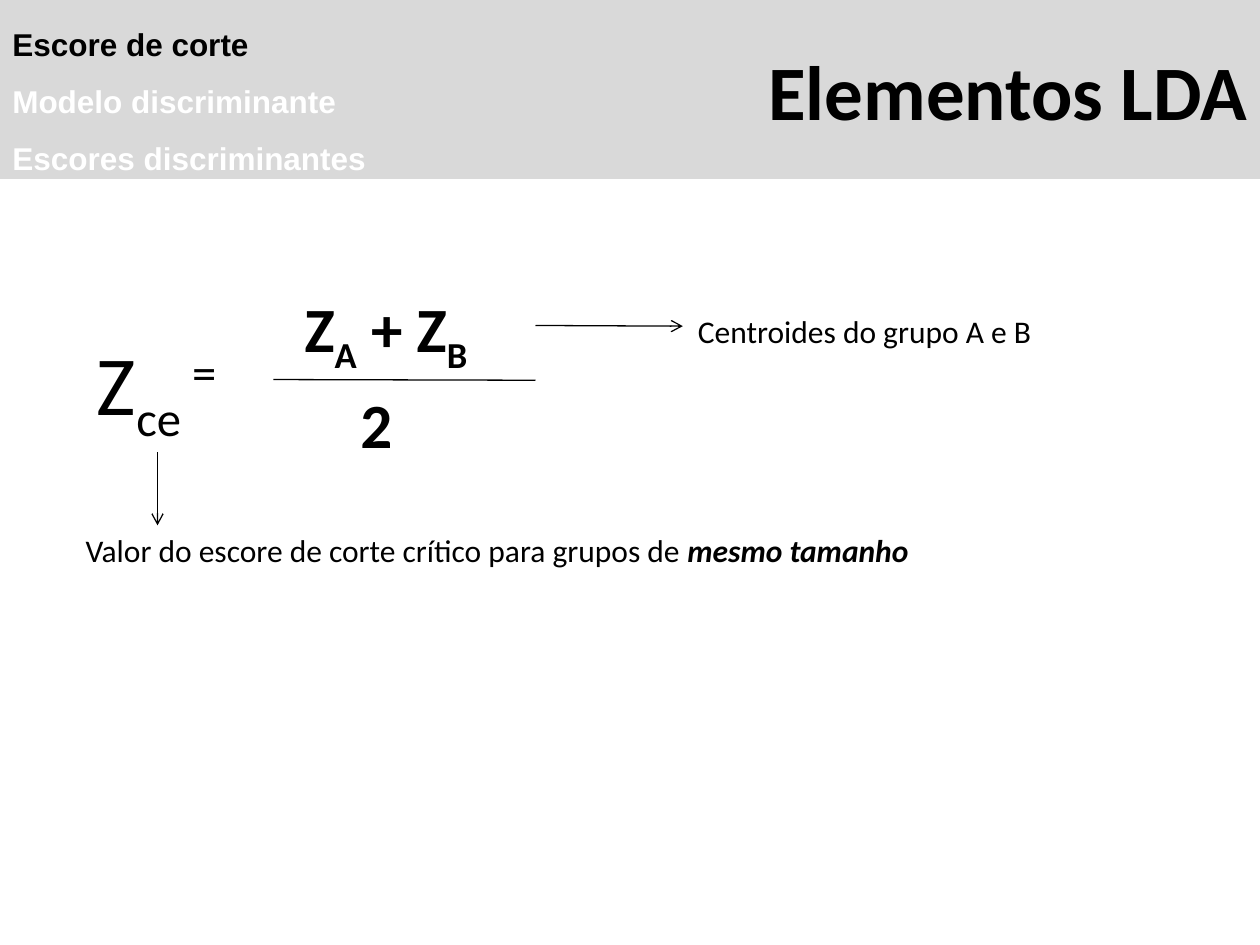
from dataclasses import dataclass

import pptx
import pptx.util
import pptx.dml.color
import pptx.enum.shapes
import pptx.enum.text
import pptx.oxml
import pptx.oxml.ns

Pt = pptx.util.Pt
Color = pptx.dml.color.RGBColor
Align = pptx.enum.text.PP_ALIGN
Anchor = pptx.enum.text.MSO_ANCHOR


@dataclass(frozen=True)
class Theme:
    ink: Color = Color(0, 0, 0)
    pale: Color = Color(255, 255, 255)
    band: Color = Color(0xD9, 0xD9, 0xD9)
    body: str = "Calibri"
    menu: str = "Arial"
    title: int = 44
    score: int = 48
    term: int = 36
    note: int = 18
    rule: float = 0.75


THEME = Theme()
SUB, SUPER = -25000, 30000


def style(para, size, bold=False, color=THEME.ink, face=THEME.body):
    font = para.font
    font.name, font.size, font.bold = face, Pt(size), bold
    font.color.rgb = color


def add_text(slide, box, parts, size, bold=False, wrap=True):
    """Add one line of text from (words, baseline shift, emphasis) parts."""
    frame = slide.shapes.add_textbox(*map(Pt, box)).text_frame
    frame.word_wrap = wrap
    para = frame.paragraphs[0]
    style(para, size, bold)
    for words, shift, strong in parts:
        run = para.add_run()
        run.text = words
        if shift:
            run._r.get_or_add_rPr().set("baseline", str(shift))
        if strong:
            run.font.bold = run.font.italic = True


def add_line(slide, start, end, arrow=False):
    kind = pptx.enum.shapes.MSO_CONNECTOR.STRAIGHT
    line = slide.shapes.add_connector(kind, *map(Pt, (*start, *end)))
    line.line.color.rgb = THEME.ink
    line.line.width = Pt(THEME.rule)
    if arrow:
        tip = pptx.oxml.parse_xml(
            f'<a:tailEnd {pptx.oxml.ns.nsdecls("a")} type="arrow"/>')
        line.line._get_or_add_ln().append(tip)
    line._element.spPr.append(pptx.oxml.parse_xml(
        f'<a:effectLst {pptx.oxml.ns.nsdecls("a")}/>'))


def add_header(slide, left, top, width, height):
    """Add the title band, with the topic menu over its left half."""
    kind = pptx.enum.shapes.MSO_SHAPE.RECTANGLE
    band = slide.shapes.add_shape(kind, *map(Pt, (left, top, width, height)))
    band.shadow.inherit = False
    band.fill.solid()
    band.fill.fore_color.rgb = THEME.band
    band.line.fill.background()
    frame = band.text_frame
    frame.vertical_anchor = Anchor.MIDDLE
    para = frame.paragraphs[0]
    para.text = "Elementos LDA"
    para.alignment = Align.RIGHT
    style(para, THEME.title, True)

    menu = slide.shapes.add_textbox(
        *map(Pt, (left, top, width / 2, height + 3))).text_frame
    menu.word_wrap = True
    topics = ("Escore de corte", "Modelo discriminante",
              "Escores discriminantes")
    for i, topic in enumerate(topics):
        para = menu.add_paragraph() if i else menu.paragraphs[0]
        para.text = topic
        para.line_spacing = 1.5
        style(para, THEME.note, True, THEME.pale if i else THEME.ink,
              THEME.menu)


def add_formula(slide, left, top, width, height):
    """Add the cut-off score fraction with its two notes."""
    bar, start, end = top + 54.9, left + 114.5, left + 264.2
    add_text(slide, (left + 6.5, top + 23.8, 162, 65.5),
             [("Z", 0, False), ("ce", SUB, False), (" =", SUPER, False)],
             THEME.score)
    add_text(slide, (left + 125.2, top, 134.6, 51),
             [("Z", 0, False), ("A", SUB, False), (" + Z", 0, False),
              ("B", SUB, False)], THEME.term, True, False)
    add_line(slide, (start, bar), (end, bar + 0.4))
    add_text(slide, (left + 157, bar, 68.4, 51), [("2", 0, False)],
             THEME.term, True)

    foot = top + height - 28.8
    add_text(slide, (left, foot, 546.5, 28.8),
             [("Valor do escore de corte crítico para grupos de ", 0, False),
              ("mesmo tamanho", 0, True)], THEME.note, wrap=False)
    add_line(slide, (left + 48.2, top + 96.3), (left + 48.2, foot), True)
    side = left + width - 226.8
    add_line(slide, (end, top + 24), (side - 1.5, top + 24.4), True)
    add_text(slide, (side, top + 13, 226.8, 28.8),
             [("Centroides do grupo A e B", 0, False)], THEME.note,
             wrap=False)


def main():
    deck = pptx.Presentation()
    deck.slide_width, deck.slide_height = Pt(720), Pt(540)
    slide = deck.slides.add_slide(deck.slide_layouts[6])
    add_header(slide, 0, 0, 720, 102.2)
    add_formula(slide, 41.8, 162, 576.7, 167)
    deck.save("out.pptx")


if __name__ == "__main__":
    main()
